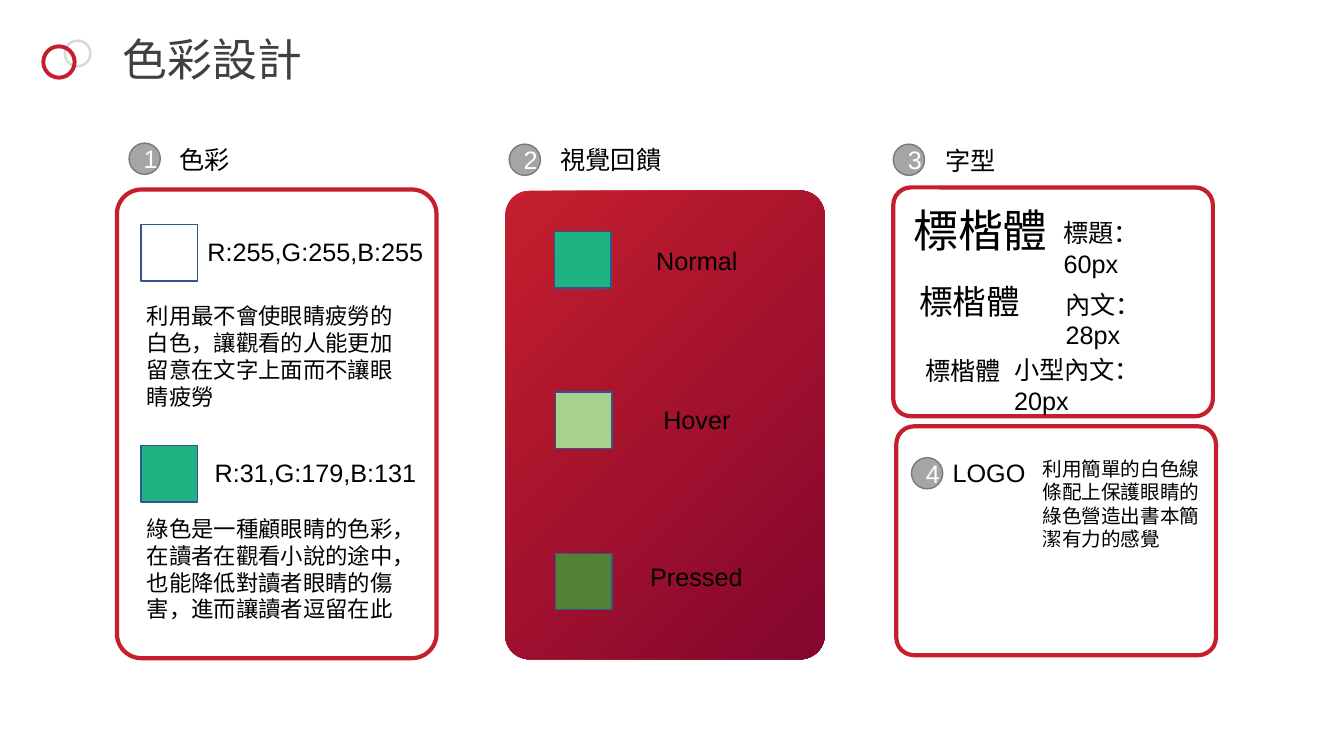
"""Build the colour design slide with its panels, swatches and type samples."""
from typing import NamedTuple, Optional

from pptx import Presentation
from pptx import util as u
from pptx.dml.color import RGBColor
from pptx.enum import shapes, text

WHITE = RGBColor(0xFF, 0xFF, 0xFF)
BLACK = RGBColor(0, 0, 0)
TITLE_GREY = RGBColor(0x40, 0x40, 0x40)
RING_GREY = RGBColor(0xD9, 0xD9, 0xD9)
RED = RGBColor(0xC5, 0x1F, 0x2D)
DARK_RED = RGBColor(0x83, 0x06, 0x2E)
BADGE_GREY = RGBColor(0xA5, 0xA5, 0xA5)
BADGE_LINE = RGBColor(0x7A, 0x7A, 0x7A)
SWATCH_LINE = RGBColor(0x32, 0x54, 0x91)
GREEN = RGBColor(0x1F, 0xB3, 0x83)
LIGHT_GREEN = RGBColor(0xA9, 0xD1, 0x8E)
DARK_GREEN = RGBColor(0x54, 0x82, 0x35)

LATIN_FONT = "Arial"
SAMPLE_FONT = "Noto Sans CJK SC"
PANEL_WIDTH = 3.17
SWATCH_SIZE = 0.56
BADGE_SIZE = 0.31


class Ring(NamedTuple):
    left: float
    top: float
    size: float
    thickness: float
    color: RGBColor


class Panel(NamedTuple):
    left: float
    top: float
    height: float
    gradient: bool = False


class Swatch(NamedTuple):
    left: float
    top: float
    color: RGBColor


class Badge(NamedTuple):
    number: str
    left: float
    top: float


class Label(NamedTuple):
    words: str
    left: float
    top: float
    width: float
    height: float = 0.4
    size: int = 18
    wrap: bool = False
    font: str = LATIN_FONT
    color: RGBColor = BLACK


RINGS = [Ring(0.63, 0.39, 0.28, 0.092, RING_GREY), Ring(0.41, 0.44, 0.35, 0.112, RED)]
PANELS = [
    Panel(5.01, 1.89, 4.65, gradient=True),
    Panel(1.16, 1.88, 4.65),
    Panel(8.86, 1.86, 2.27),
    Panel(8.89, 4.23, 2.27),
]
SWATCHES = [
    Swatch(1.4, 2.23, WHITE),
    Swatch(1.4, 4.42, GREEN),
    Swatch(5.5, 2.3, GREEN),
    Swatch(5.51, 3.89, LIGHT_GREEN),
    Swatch(5.51, 5.49, DARK_GREEN),
]
BADGES = [
    Badge("1", 1.28, 1.42),
    Badge("2", 5.05, 1.43),
    Badge("3", 8.86, 1.43),
    Badge("4", 9.04, 4.54),
]
LABELS = [
    Label("色彩設計", 1.12, 0.27, 2, 0.64, 32, color=TITLE_GREY),
    Label("色彩", 1.68, 1.38, 0.71),
    Label("R:255,G:255,B:255", 1.96, 2.3, 2.36),
    Label("利用最不會使眼睛疲勞的白色，讓觀看的人能更加留意在文字上面而不讓眼睛疲勞",
          1.36, 2.95, 2.76, 1.18, 16, wrap=True),
    Label("R:31,G:179,B:131", 2.03, 4.49, 2.22),
    Label("綠色是一種顧眼睛的色彩，在讀者在觀看小說的途中，也能降低對讀者眼睛的傷害，進而讓讀者逗留在此",
          1.36, 5.06, 2.76, 1.18, 16, wrap=True),
    Label("視覺回饋", 5.46, 1.38, 1.21),
    Label("Normal", 6.41, 2.38, 1.02),
    Label("Hover", 6.48, 3.96, 0.88),
    Label("Pressed", 6.35, 5.52, 1.13),
    Label("字型", 9.28, 1.39, 0.71),
    Label("標楷體", 8.96, 1.96, 1.55, 0.64, 32, font=SAMPLE_FONT),
    Label("標楷體", 9.02, 2.74, 1.21, 0.5, 24, font=SAMPLE_FONT),
    Label("標楷體", 9.08, 3.48, 0.96, font=SAMPLE_FONT),
    Label("標題：60px", 10.45, 2.11, 1.45, wrap=True),
    Label("內文：28px", 10.47, 2.82, 1.45, wrap=True),
    Label("小型內文：20px", 9.96, 3.47, 1.95, wrap=True),
    Label("LOGO", 9.35, 4.49, 0.93),
    Label("利用簡單的白色線條配上保護眼睛的綠色營造出書本簡潔有力的感覺",
          10.24, 4.48, 1.81, 1.04, 14, wrap=True),
]


def add_outline(parent, kind, left: float, top: float, width: float, height: float,
                fill: Optional[RGBColor] = None, line: Optional[RGBColor] = None,
                line_width: float = 1):
    shape = parent.add_shape(kind, u.Inches(left), u.Inches(top),
                             u.Inches(width), u.Inches(height))
    shape.shadow.inherit = False
    if fill is None:
        shape.fill.background()
    else:
        shape.fill.solid()
        shape.fill.fore_color.rgb = fill
    if line is None:
        shape.line.fill.background()
    else:
        shape.line.color.rgb = line
        shape.line.width = u.Pt(line_width)
    return shape


def style_text(frame, size: int, color: RGBColor, font: str = LATIN_FONT) -> None:
    for paragraph in frame.paragraphs:
        for run in paragraph.runs:
            run.font.size = u.Pt(size)
            run.font.name = font
            run.font.color.rgb = color


def add_ring(parent, ring: Ring) -> None:
    shape = add_outline(parent, shapes.MSO_SHAPE.DONUT, ring.left, ring.top,
                        ring.size, ring.size, fill=ring.color)
    shape.adjustments[0] = ring.thickness


def add_panel(parent, panel: Panel) -> None:
    shape = add_outline(parent, shapes.MSO_SHAPE.ROUNDED_RECTANGLE, panel.left, panel.top,
                        PANEL_WIDTH, panel.height,
                        line=None if panel.gradient else RED, line_width=3)
    shape.adjustments[0] = 0.077
    if panel.gradient:
        shape.fill.gradient()
        shape.fill.gradient_angle = 315
        for stop, color in zip(shape.fill.gradient_stops, (RED, DARK_RED)):
            stop.color.rgb = color


def add_swatch(parent, swatch: Swatch) -> None:
    add_outline(parent, shapes.MSO_SHAPE.RECTANGLE, swatch.left, swatch.top,
                SWATCH_SIZE, SWATCH_SIZE, swatch.color, SWATCH_LINE)


def add_badge(parent, badge: Badge) -> None:
    shape = add_outline(parent, shapes.MSO_SHAPE.OVAL, badge.left, badge.top,
                        BADGE_SIZE, BADGE_SIZE, BADGE_GREY, BADGE_LINE)
    frame = shape.text_frame
    frame.text = badge.number
    frame.vertical_anchor = text.MSO_ANCHOR.MIDDLE
    frame.paragraphs[0].alignment = text.PP_ALIGN.CENTER
    style_text(frame, 18, WHITE)


def add_label(parent, label: Label) -> None:
    box = parent.add_textbox(u.Inches(label.left), u.Inches(label.top),
                             u.Inches(label.width), u.Inches(label.height))
    frame = box.text_frame
    frame.text = label.words
    frame.word_wrap = label.wrap
    frame.auto_size = text.MSO_AUTO_SIZE.SHAPE_TO_FIT_TEXT
    style_text(frame, label.size, label.color, label.font)


def main() -> None:
    presentation = Presentation()
    presentation.slide_width = u.Inches(13.33)
    presentation.slide_height = u.Inches(7.5)
    slide = presentation.slides.add_slide(presentation.slide_layouts[6])
    rings = slide.shapes.add_group_shape()
    for ring in RINGS:
        add_ring(rings.shapes, ring)
    for draw, items in ((add_panel, PANELS), (add_swatch, SWATCHES),
                        (add_badge, BADGES), (add_label, LABELS)):
        for item in items:
            draw(slide.shapes, item)
    presentation.save("out.pptx")


if __name__ == "__main__":
    main()
